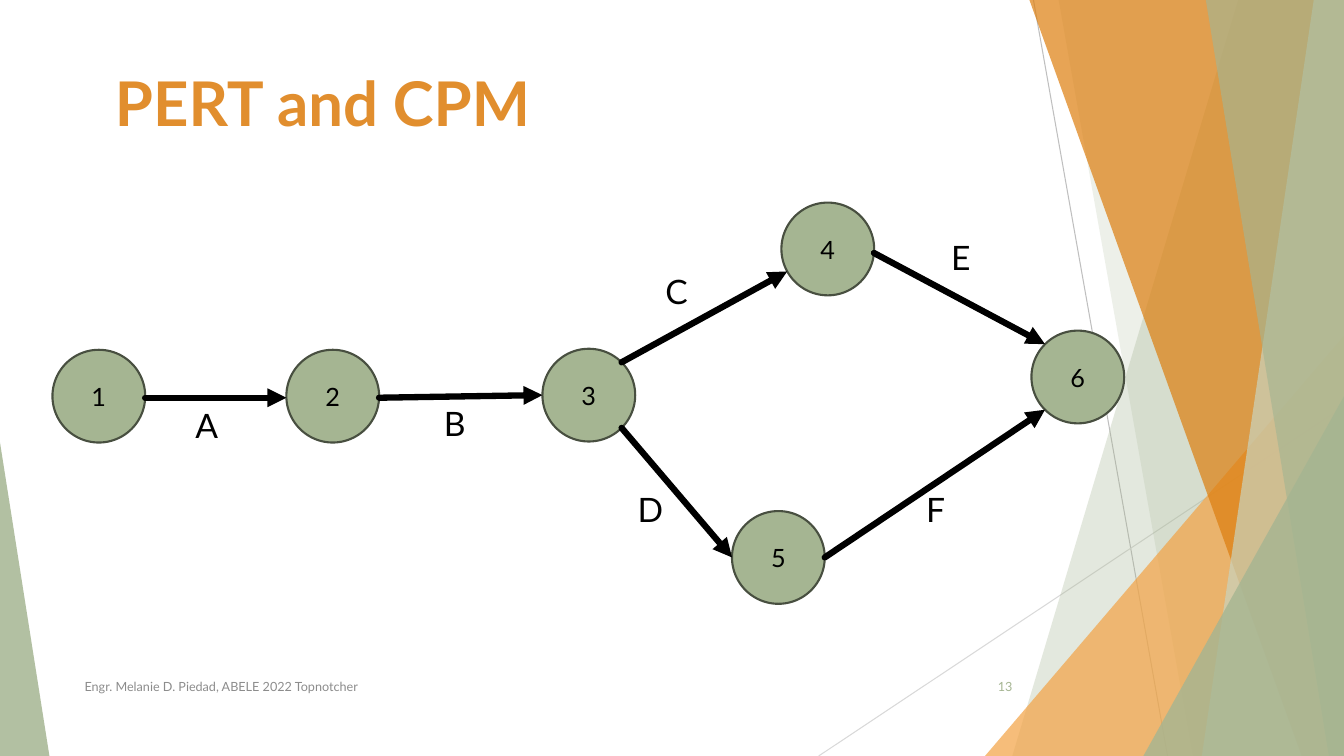
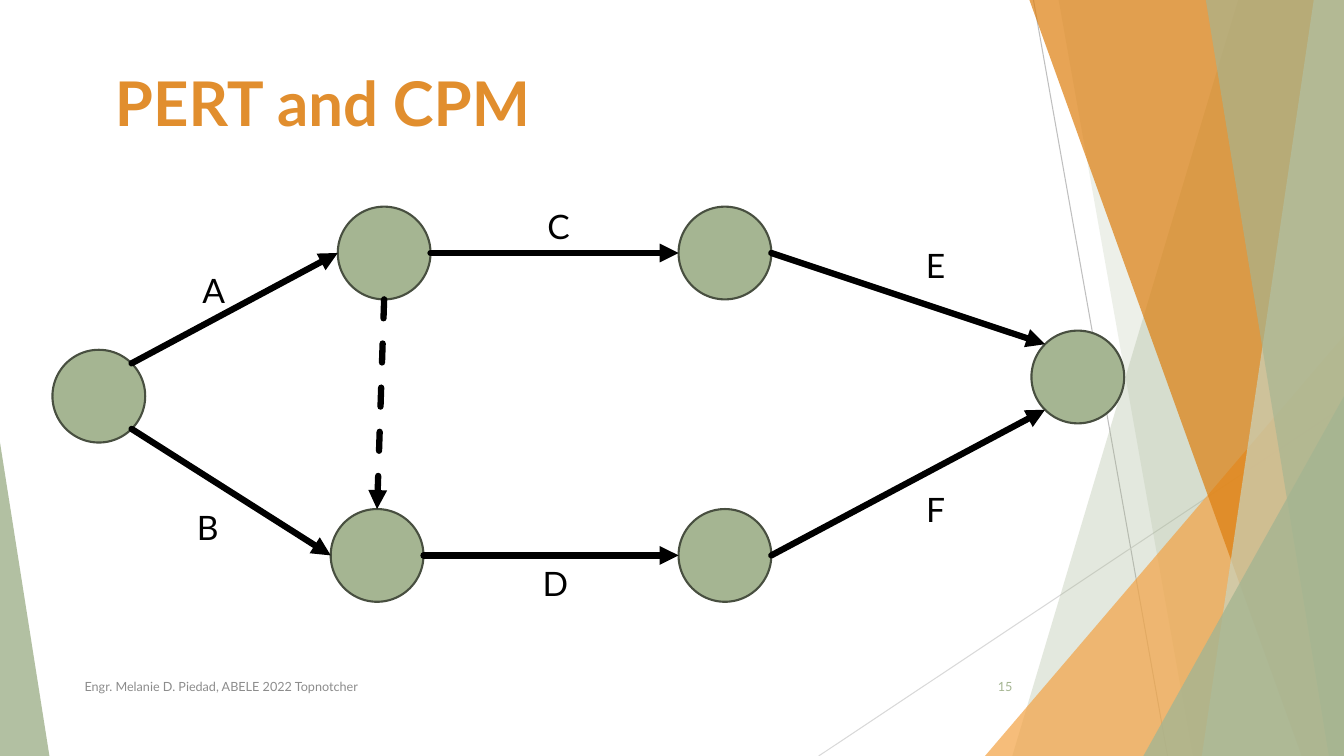
"""Build two PERT and CPM network diagram slides."""
from dataclasses import dataclass
from math import cos, radians, sin

from lxml import etree
from pptx import Presentation
from pptx.dml.color import RGBColor
from pptx.enum import dml, shapes, text
from pptx.oxml import ns
from pptx.slide import Slide, SlideLayout
from pptx.util import Inches, Pt

ORANGE = RGBColor(0xE1, 0x8E, 0x2E)
DEEP_ORANGE = RGBColor(0xDD, 0x7E, 0x0E)
LIGHT_ORANGE = RGBColor(0xF3, 0xA4, 0x47)
SAGE = RGBColor(0xA5, 0xB5, 0x92)
PALE_SAGE = RGBColor(0xC9, 0xD3, 0xBE)
DARK_SAGE = RGBColor(0x48, 0x4F, 0x40)
BLACK = RGBColor(0, 0, 0)
GREY = RGBColor(0x8C, 0x8C, 0x8C)
MID_GREY = RGBColor(0xBF, 0xBF, 0xBF)
PALE_GREY = RGBColor(0xD9, 0xD9, 0xD9)

FONT = "Lato"
WIDTH, HEIGHT = 13.33, 7.5
NODE_SIZE = 0.92
LABEL_WIDTH, LABEL_HEIGHT = 0.83, 0.5
TITLE = "PERT and CPM"
FOOTER = "Engr. Melanie D. Piedad, ABELE 2022 Topnotcher"

Point = tuple[float, float]


@dataclass(frozen=True)
class Band:
    """A translucent band from its slanted left edge to the right slide edge."""
    top_x: float
    bottom_x: float
    color: RGBColor
    opacity: int


@dataclass(frozen=True)
class Wedge:
    """A translucent right triangle standing on the bottom slide edge."""
    left: float
    top: float
    width: float
    apex: float
    color: RGBColor
    opacity: int


@dataclass(frozen=True)
class Node:
    """An event circle, placed by its top left corner."""
    left: float
    top: float
    label: str = ""

    def edge(self, angle: float) -> Point:
        """Return the point on the circle at a clockwise angle from the right."""
        radius = NODE_SIZE / 2
        return (self.left + radius * (1 + cos(radians(angle))),
                self.top + radius * (1 + sin(radians(angle))))


@dataclass(frozen=True)
class Arrow:
    """An activity between two nodes, with its leaving and arriving angles."""
    source: str
    leave: float
    target: str
    arrive: float
    dashed: bool = False


@dataclass(frozen=True)
class Label:
    """An activity letter, placed by its centre and top."""
    letter: str
    center: float
    top: float


@dataclass(frozen=True)
class Network:
    """One slide's numbered diagram."""
    number: str
    nodes: dict[str, Node]
    arrows: list[Arrow]
    labels: list[Label]


DECORATION = [
    Band(12.28, 10.04, SAGE, 30),
    Band(10.5, 11.83, SAGE, 20),
    Wedge(9.77, 3.33, 3.56, 1, LIGHT_ORANGE, 72),
    Band(10.21, 12.91, DEEP_ORANGE, 70),
    Band(13.03, 11.92, PALE_SAGE, 70),
    Band(11.96, 13.18, SAGE, 65),
    Wedge(11.34, 3.93, 1.99, 1, SAGE, 80),
    Wedge(0, 4.39, 0.49, 0, SAGE, 85),
]

NETWORKS = [
    Network(
        "13",
        {
            "1": Node(0.52, 3.47, "1"),
            "2": Node(2.84, 3.47, "2"),
            "3": Node(5.38, 3.46, "3"),
            "4": Node(7.75, 2.01, "4"),
            "5": Node(7.26, 5.07, "5"),
            "6": Node(10.23, 3.28, "6"),
        },
        [
            Arrow("1", 2, "2", 178),
            Arrow("2", 2, "3", 180),
            Arrow("3", -45, "4", 151),
            Arrow("3", 45, "5", 180),
            Arrow("4", 5, "6", 225),
            Arrow("5", 0, "6", 135),
        ],
        [
            Label("A", 2.05, 3.97), Label("B", 4.51, 3.95),
            Label("C", 6.71, 2.64), Label("D", 6.45, 4.8),
            Label("E", 9.53, 2.3), Label("F", 9.28, 4.8),
        ],
    ),
    Network(
        "15",
        {
            "start": Node(0.52, 3.47),
            "upper left": Node(3.35, 2.05),
            "lower left": Node(3.28, 5.05),
            "upper right": Node(6.73, 2.05),
            "lower right": Node(6.73, 5.05),
            "finish": Node(10.23, 3.28),
        },
        [
            Arrow("start", -45, "upper left", 180),
            Arrow("start", 45, "lower left", 180),
            Arrow("upper left", 0, "upper right", 180),
            Arrow("lower left", 0, "lower right", 180),
            Arrow("upper right", 0, "finish", 225),
            Arrow("lower right", 0, "finish", 135),
            Arrow("upper left", 90, "lower left", 270, dashed=True),
        ],
        [
            Label("A", 2.12, 2.63), Label("B", 2.06, 4.98),
            Label("C", 5.54, 1.99), Label("D", 5.51, 5.54),
            Label("E", 9.28, 2.38), Label("F", 9.28, 4.8),
        ],
    ),
]


def write(shape, content: str, size: float, color: RGBColor,
          align=text.PP_ALIGN.LEFT, anchor=text.MSO_ANCHOR.MIDDLE, bold: bool = False) -> None:
    """Put one formatted paragraph into a shape."""
    frame = shape.text_frame
    frame.word_wrap = True
    frame.auto_size = text.MSO_AUTO_SIZE.NONE
    frame.vertical_anchor = anchor
    para = frame.paragraphs[0]
    para.text = content
    para.alignment = align
    font = para.font
    font.name, font.size, font.bold = FONT, Pt(size), bold
    font.color.rgb = color


def add_text(page: Slide, left: float, top: float, width: float, height: float,
             content: str, size: float, color: RGBColor, **style) -> None:
    """Add a text box with one paragraph."""
    box = page.shapes.add_textbox(Inches(left), Inches(top), Inches(width), Inches(height))
    write(box, content, size, color, **style)


def add_line(page: Slide, start: Point, end: Point, color: RGBColor, width: float):
    """Add a straight line without a shadow."""
    line = page.shapes.add_connector(
        shapes.MSO_CONNECTOR.STRAIGHT, *(Inches(value) for value in start + end))
    line.line.color.rgb = color
    line.line.width = Pt(width)
    etree.SubElement(line.element.spPr, ns.qn("a:effectLst"))
    return line


def paint_translucent(shape, color: RGBColor, opacity: int) -> None:
    """Fill a shape with a translucent colour and no outline."""
    shape.shadow.inherit = False
    shape.fill.solid()
    shape.fill.fore_color.rgb = color
    shape.line.fill.background()
    tint = shape.element.spPr.find(".//" + ns.qn("a:srgbClr"))
    etree.SubElement(tint, ns.qn("a:alpha")).set("val", str(opacity * 1000))


def add_band(page: Slide, band: Band) -> None:
    """Draw a band."""
    builder = page.shapes.build_freeform(Inches(band.top_x), 0)
    corners = [(WIDTH, 0), (WIDTH, HEIGHT), (band.bottom_x, HEIGHT)]
    builder.add_line_segments([(Inches(x), Inches(y)) for x, y in corners])
    paint_translucent(builder.convert_to_shape(), band.color, band.opacity)


def add_wedge(page: Slide, wedge: Wedge) -> None:
    """Draw a wedge."""
    shape = page.shapes.add_shape(
        shapes.MSO_SHAPE.ISOSCELES_TRIANGLE, Inches(wedge.left), Inches(wedge.top),
        Inches(wedge.width), Inches(HEIGHT - wedge.top))
    shape.adjustments[0] = wedge.apex
    paint_translucent(shape, wedge.color, wedge.opacity)


def decorate(layout: SlideLayout, page: Slide) -> None:
    """Draw the shared background and footer, and move them to the layout."""
    for holder in list(layout.placeholders)[1:]:
        layout.placeholders.element.remove(holder.element)
    add_line(page, (10.25, 0), (11.58, HEIGHT), MID_GREY, 0.75)
    add_line(page, (WIDTH, 4.03), (8.12, HEIGHT), PALE_GREY, 0.75)
    for item in DECORATION:
        if isinstance(item, Band):
            add_band(page, item)
        else:
            add_wedge(page, item)
    add_text(page, 0.74, 6.61, 6.89, 0.4, FOOTER, 9, GREY)
    for shape in list(page.shapes):
        if not shape.is_placeholder:
            layout.shapes.element.append(shape.element)


def add_node(page: Slide, node: Node) -> None:
    """Draw an event circle."""
    circle = page.shapes.add_shape(
        shapes.MSO_SHAPE.OVAL, Inches(node.left), Inches(node.top),
        Inches(NODE_SIZE), Inches(NODE_SIZE))
    circle.shadow.inherit = False
    circle.fill.solid()
    circle.fill.fore_color.rgb = SAGE
    circle.line.color.rgb = DARK_SAGE
    circle.line.width = Pt(1.5)
    if node.label:
        write(circle, node.label, 18, BLACK, align=text.PP_ALIGN.CENTER)


def add_arrow(page: Slide, start: Point, end: Point, dashed: bool) -> None:
    """Draw an activity arrow."""
    arrow = add_line(page, start, end, BLACK, 4.5)
    if dashed:
        arrow.line.dash_style = dml.MSO_LINE.DASH
    outline = arrow.element.spPr.find(ns.qn("a:ln"))
    outline.set("cap", "rnd")
    etree.SubElement(outline, ns.qn("a:tailEnd")).set("type", "triangle")


def fill_page(page: Slide, network: Network) -> None:
    """Write the title and page number and draw the network."""
    title = page.shapes.title
    title.left, title.top, title.width, title.height = map(Inches, (1.04, 0.59, 9.6, 0.9))
    write(title, TITLE, 44, ORANGE, anchor=text.MSO_ANCHOR.TOP, bold=True)
    for node in network.nodes.values():
        add_node(page, node)
    for arrow in network.arrows:
        add_arrow(page, network.nodes[arrow.source].edge(arrow.leave),
                  network.nodes[arrow.target].edge(arrow.arrive), arrow.dashed)
    for label in network.labels:
        add_text(page, label.center - LABEL_WIDTH / 2, label.top, LABEL_WIDTH, LABEL_HEIGHT,
                 label.letter, 24, BLACK, align=text.PP_ALIGN.CENTER, anchor=text.MSO_ANCHOR.TOP)
    add_text(page, 9.39, 6.61, 0.75, 0.4, network.number, 9, SAGE, align=text.PP_ALIGN.RIGHT)


def main() -> None:
    """Build and save the deck."""
    deck = Presentation()
    deck.slide_width, deck.slide_height = Inches(WIDTH), Inches(HEIGHT)
    layout = deck.slide_layouts.get_by_name("Title Only")
    pages = [deck.slides.add_slide(layout) for _ in NETWORKS]
    decorate(layout, pages[0])
    for page, network in zip(pages, NETWORKS):
        fill_page(page, network)
    deck.save("out.pptx")


if __name__ == "__main__":
    main()
